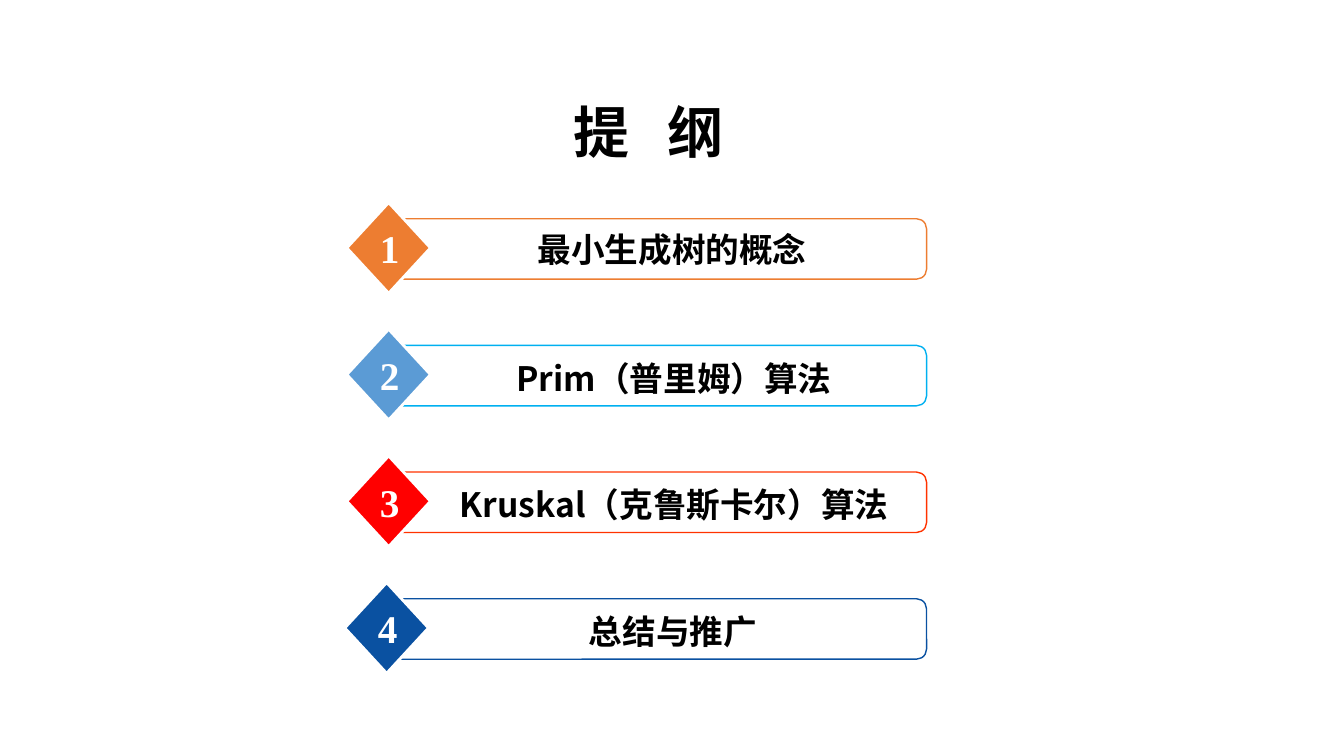
"""Build the outline slide with its four numbered topics."""
from dataclasses import dataclass

from lxml import etree
from pptx import Presentation
from pptx.dml.color import RGBColor
from pptx.enum.shapes import MSO_SHAPE
from pptx.enum.text import MSO_AUTO_SIZE, PP_ALIGN
from pptx.oxml.ns import qn
from pptx.shapes.autoshape import Shape
from pptx.shapes.shapetree import GroupShapes, SlideShapes
from pptx.text.text import _Run
from pptx.util import Inches, Pt

ROUNDED = MSO_SHAPE.ROUNDED_RECTANGLE
DIAMOND = MSO_SHAPE.DIAMOND
CENTER = PP_ALIGN.CENTER
FIT_TEXT = MSO_AUTO_SIZE.SHAPE_TO_FIT_TEXT


@dataclass(frozen=True)
class Theme:
    """Fonts, colours and type sizes of the slide."""
    heading_font: str = "Noto Sans CJK SC"
    number_font: str = "Times New Roman"
    ink: str = "000000"
    paper: str = "FFFFFF"
    title_size: int = 40
    label_size: int = 24
    number_size: int = 28


@dataclass(frozen=True)
class Area:
    """A rectangle in inches."""
    left: float
    top: float
    width: float
    height: float


@dataclass(frozen=True)
class Topic:
    """One row of the outline."""
    label: str
    diamond_color: str
    border_color: str
    label_left: float
    label_drop: float = 0.07
    shift: float = 0.0


THEME = Theme()
TOPICS = (
    Topic("最小生成树的概念", "ED7D31", "ED7D31", 4.14, label_drop=0.05),
    Topic("Prim（普里姆）算法", "5B9BD5", "00B0F0", 4.18),
    Topic("Kruskal（克鲁斯卡尔）算法", "FF0000", "FF3300", 4.18),
    Topic("总结与推广", "0A51A1", "0A51A1", 4.16, shift=-0.02),
)
FIRST_TOP, LAST_TOP = 2.17, 5.94
ROW_PITCH = (LAST_TOP - FIRST_TOP) / (len(TOPICS) - 1)
BAR_LEFT, BAR_RIGHT = 3.9, 9.19


def add_outline(shapes: GroupShapes, kind: MSO_SHAPE, area: Area,
                fill: str, border: str, weight: float) -> Shape:
    """Add a filled and bordered preset shape."""
    shape = shapes.add_shape(kind, Inches(area.left), Inches(area.top),
                             Inches(area.width), Inches(area.height))
    shape.shadow.inherit = False
    shape.fill.solid()
    shape.fill.fore_color.rgb = RGBColor.from_string(fill)
    shape.line.color.rgb = RGBColor.from_string(border)
    shape.line.width = Pt(weight)
    return shape


def add_text(shapes: SlideShapes | GroupShapes, area: Area, text: str,
             font: str, size: int, color: str, wrap: bool = True) -> _Run:
    """Add a centred bold line of text and return its run."""
    box = shapes.add_textbox(Inches(area.left), Inches(area.top),
                             Inches(area.width), Inches(area.height))
    frame = box.text_frame
    frame.text = text
    frame.word_wrap = wrap
    frame.auto_size = FIT_TEXT
    para = frame.paragraphs[0]
    para.alignment = CENTER
    span = para.runs[0]
    span.font.name = font
    span.font.size = Pt(size)
    span.font.bold = True
    span.font.color.rgb = RGBColor.from_string(color)
    etree.SubElement(span.font._element, qn("a:ea"), typeface=font)
    return span


def add_topic(shapes: SlideShapes, number: int, topic: Topic) -> None:
    """Add one grouped row: bar, diamond, label and number."""
    row = shapes.add_group_shape().shapes
    top = FIRST_TOP + (number - 1) * ROW_PITCH
    left = BAR_LEFT + topic.shift
    add_outline(row, ROUNDED, Area(left, top, BAR_RIGHT - left, 0.6),
                THEME.paper, topic.border_color, 1)
    add_outline(row, DIAMOND, Area(left - 0.46, top - 0.16, 0.83, 0.9),
                topic.diamond_color, THEME.paper, 2)
    label_area = Area(topic.label_left, top + topic.label_drop,
                      BAR_RIGHT - topic.label_left, 0.51)
    add_text(row, label_area, topic.label, THEME.heading_font,
             THEME.label_size, THEME.ink)
    add_text(row, Area(left - 0.23, top + 0.01, 0.37, 0.57), str(number),
             THEME.number_font, THEME.number_size, THEME.paper, wrap=False)


def main() -> None:
    """Build and save the deck."""
    deck = Presentation()
    deck.slide_width = Inches(13.33)
    deck.slide_height = Inches(7.5)
    page = deck.slides.add_slide(deck.slide_layouts[6])
    title = add_text(page.shapes, Area(3.1, 0.92, 6.67, 0.77), "提 纲",
                     THEME.heading_font, THEME.title_size, THEME.ink)
    title.font._element.set("spc", "900")
    for number, topic in enumerate(TOPICS, start=1):
        add_topic(page.shapes, number, topic)
    deck.save("out.pptx")


if __name__ == "__main__":
    main()
